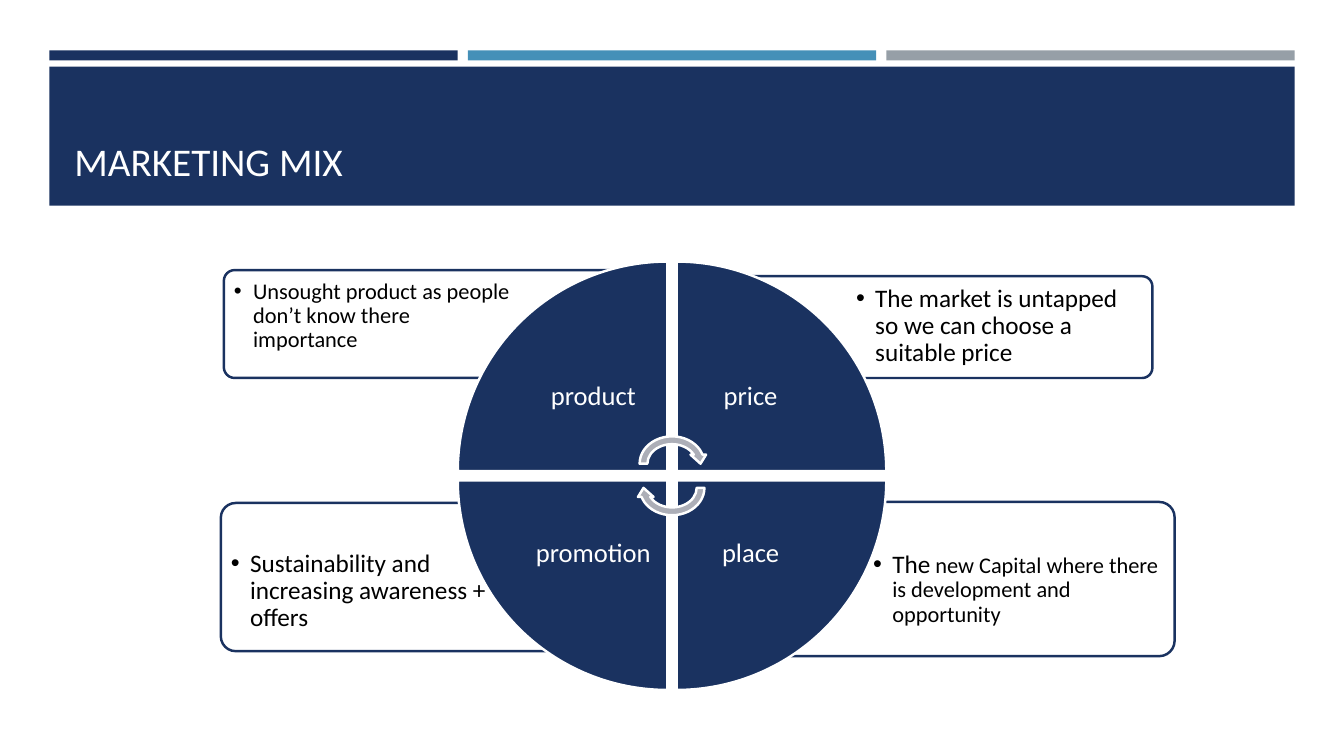
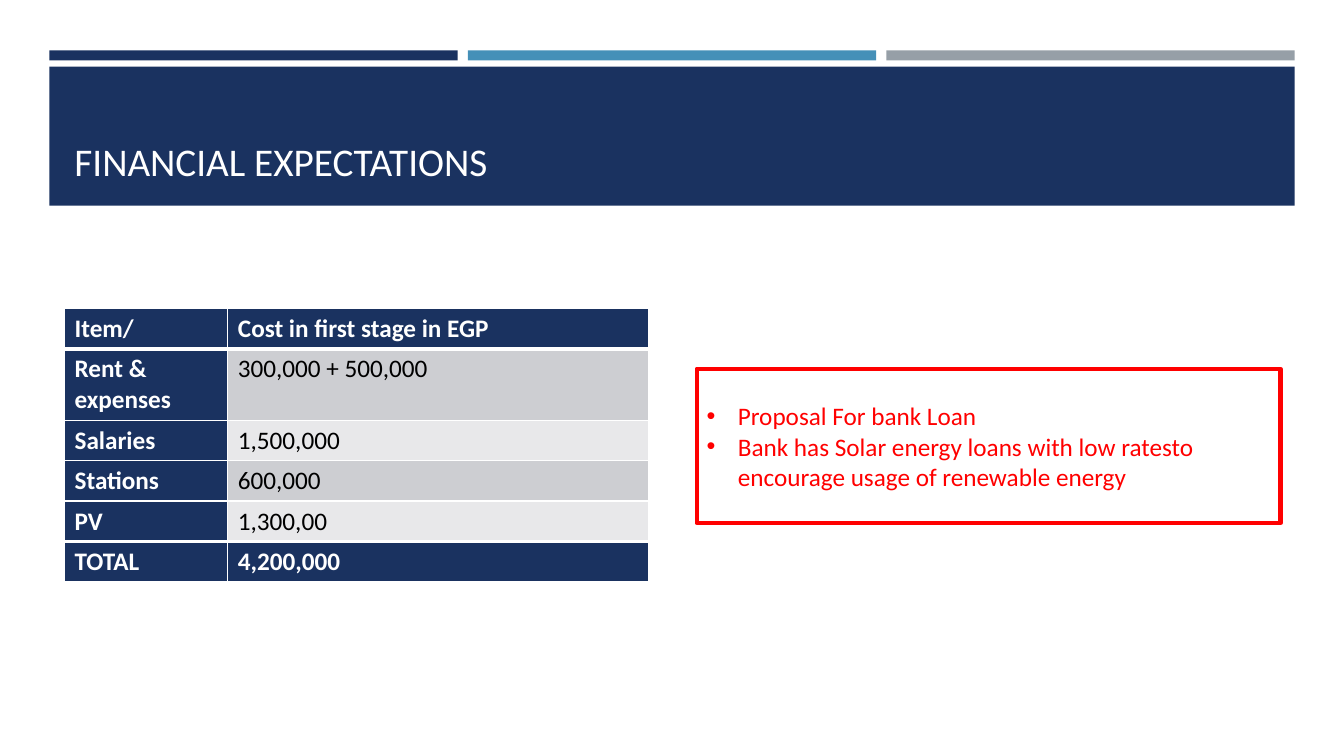
from lxml import etree
from pptx import Presentation
from pptx import util as u
from pptx.dml.color import RGBColor
from pptx.enum import shapes, text
from pptx.oxml.ns import qn

W, H = 13.33, 7.5
FONT = "Calibri"
COLORS = {
    "navy": "1A3260", "blue": "4590B8", "gray": "969FA7", "arrow": "ACAEB7",
    "white": "FFFFFF", "black": "000000", "red": "FF0000",
    "dark_row": "CDCED2", "light_row": "E8E8EA",
}
MARGIN, BAND_GAP = 0.49, 0.1
TITLE_BOX = (0.64, 0.8, 12.06, 1.08)

MIX_TITLE = "MARKETING MIX"
# name, column, row, rotation, card box, card text box, runs of (text, size)
MIX = [
    ("place", 1, 1, 180, (7.23, 4.98, 4.42, 1.53), (8.59, 5.4, 3.03, 1.08),
     [("The", 18), (" new Capital where there is development and opportunity", 16)]),
    ("promotion", 0, 1, 270, (2.19, 4.99, 4.05, 1.47), (2.22, 5.39, 2.77, 1.04),
     [("Sustainability and increasing awareness + offers", 18)]),
    ("price", 1, 0, 90, (7.1, 2.74, 4.33, 1.01), (8.42, 2.76, 2.99, 0.72),
     [("The market is untapped so we can choose a suitable price", 18)]),
    ("product", 0, 0, 0, (2.22, 2.68, 4.29, 1.07), (2.25, 2.71, 2.95, 0.75),
     [("Unsought product as people don’t know there importance", 16)]),
]
WHEEL_X, WHEEL_Y, WHEEL_GAP = W / 2, 4.72, 0.09
WEDGE, LABEL = 2.08, 1.47
ARROW_W, ARROW_H, ARROW_SHIFT = 0.72, 0.62, 0.12

COST_TITLE = "FINANCIAL EXPECTATIONS"
COSTS = [
    ("Item/", "Cost in first stage in EGP"),
    ("Rent & expenses", "300,000 + 500,000"),
    ("Salaries", "1,500,000"),
    ("Stations", "600,000"),
    ("PV", "1,300,00"),
    ("TOTAL", "4,200,000"),
]
COST_BOX = (0.64, 3.06, 5.79, 2.72)
COST_COLS = (1.62, 4.17)
ROW_H, TALL_ROW_H = 0.4, 0.71
LOAN_BOX = (6.91, 3.66, 5.79, 1.53)
LOAN = [
    "Proposal For bank Loan",
    "Bank has Solar energy loans with low ratesto encourage usage of renewable energy",
]


def rgb(name):
    return RGBColor.from_string(COLORS[name])


def inches(box):
    return [u.Inches(v) for v in box]


def set_text(tf, paragraphs, size=18, color="black", bold=False, align=None,
             anchor=None, inset=None, spacing=None, bullet=None):
    """Fill tf; a paragraph is a string or a list of (text, size); bullet is its indent."""
    tf.word_wrap = True
    if anchor is not None:
        tf.vertical_anchor = anchor
    if inset is not None:
        tf.margin_left = tf.margin_right = tf.margin_top = tf.margin_bottom = u.Inches(inset)
    for i, runs in enumerate(paragraphs):
        p = tf.add_paragraph() if i else tf.paragraphs[0]
        p.alignment = align or text.PP_ALIGN.LEFT
        if spacing:
            p.line_spacing = spacing
        if bullet:
            pPr = p._p.get_or_add_pPr()
            pPr.set("marL", str(u.Inches(bullet)))
            pPr.set("indent", str(-u.Inches(bullet)))
            etree.SubElement(pPr, qn("a:buFont")).set("typeface", "Arial")
            etree.SubElement(pPr, qn("a:buChar")).set("char", "•")
        for content, points in [(runs, size)] if isinstance(runs, str) else runs:
            r = p.add_run()
            r.text = content
            r.font.name, r.font.size, r.font.bold = FONT, u.Pt(points), bold
            r.font.color.rgb = rgb(color)


def add_text(slide, box, paragraphs, **fmt):
    set_text(slide.shapes.add_textbox(*inches(box)).text_frame, paragraphs, **fmt)


def add_shape(slide, kind, box, fill=None, line=None, width=1.75, rotation=0):
    sp = slide.shapes.add_shape(kind, *inches(box))
    sp.shadow.inherit = False
    sp.rotation = rotation
    if fill:
        sp.fill.solid()
        sp.fill.fore_color.rgb = rgb(fill)
    else:
        sp.fill.background()
    if line:
        sp.line.color.rgb = rgb(line)
        sp.line.width = u.Pt(width)
    else:
        sp.line.fill.background()
    return sp


def add_slide(prs, title):
    """Blank slide with the three stripes, the title band and the title."""
    slide = prs.slides.add_slide(prs.slide_layouts[6])
    rect = shapes.MSO_SHAPE.RECTANGLE
    full = W - 2 * MARGIN
    stripe = (full - 2 * BAND_GAP) / 3
    for i, color in enumerate(("navy", "blue", "gray")):
        left = MARGIN + i * (stripe + BAND_GAP)
        add_shape(slide, rect, (left, 0.5, stripe, 0.1), color)
    add_shape(slide, rect, (MARGIN, 0.66, full, 1.38), "navy")
    add_text(slide, TITLE_BOX, [title], size=28, color="white",
             anchor=text.MSO_ANCHOR.BOTTOM)
    return slide


def quadrant(col, row, size):
    """Square that touches the wheel's inner corner in one quadrant."""
    def start(center, index):
        return center + (WHEEL_GAP / 2 if index else -WHEEL_GAP / 2 - size)
    return start(WHEEL_X, col), start(WHEEL_Y, row), size, size


def build_mix(prs):
    slide = add_slide(prs, MIX_TITLE)
    kinds = shapes.MSO_SHAPE
    for _, _, _, _, card, box, runs in MIX:
        sp = add_shape(slide, kinds.ROUNDED_RECTANGLE, card, "white", "navy")
        sp.adjustments[0] = 0.1
        add_text(slide, box, [runs], inset=0.07, spacing=0.9, bullet=0.19)
    for name, col, row, rotation, *_ in MIX:
        add_shape(slide, kinds.PIE_WEDGE, quadrant(col, row, WEDGE), "navy", "white",
                  rotation=rotation)
        add_text(slide, quadrant(col, row, LABEL), [name], size=19, color="white",
                 align=text.PP_ALIGN.CENTER, anchor=text.MSO_ANCHOR.MIDDLE,
                 inset=0.15, spacing=0.9)
    for shift, rotation in ((-ARROW_SHIFT, 0), (ARROW_SHIFT, 180)):
        box = (WHEEL_X - ARROW_W / 2, WHEEL_Y + shift - ARROW_H / 2, ARROW_W, ARROW_H)
        add_shape(slide, kinds.CIRCULAR_ARROW, box, "arrow", "white", rotation=rotation)


def set_borders(cell, top, bottom):
    for side, width in (("L", 1), ("R", 1), ("T", top), ("B", bottom)):
        ln = etree.SubElement(cell._tc.get_or_add_tcPr(), qn(f"a:ln{side}"))
        ln.set("w", str(u.Pt(width)))
        fill = etree.SubElement(ln, qn("a:solidFill"))
        etree.SubElement(fill, qn("a:srgbClr")).set("val", COLORS["white"])


def build_costs(prs):
    slide = add_slide(prs, COST_TITLE)
    last = len(COSTS) - 1
    table = slide.shapes.add_table(len(COSTS), len(COST_COLS), *inches(COST_BOX)).table
    for column, width in zip(table.columns, COST_COLS):
        column.width = u.Inches(width)
    for i, values in enumerate(COSTS):
        table.rows[i].height = u.Inches(TALL_ROW_H if i == 1 else ROW_H)
        for j, value in enumerate(values):
            cell = table.cell(i, j)
            strong = j == 0 or i in (0, last)
            set_borders(cell, top=3 if i in (1, last) else 1,
                        bottom=3 if i in (0, last - 1) else 1)
            cell.fill.solid()
            cell.fill.fore_color.rgb = rgb(
                "navy" if strong else "dark_row" if i % 2 else "light_row")
            set_text(cell.text_frame, [value], bold=strong,
                     color="white" if strong else "black")
    sp = add_shape(slide, shapes.MSO_SHAPE.RECTANGLE, LOAN_BOX, line="red", width=3)
    set_text(sp.text_frame, LOAN, color="red", anchor=text.MSO_ANCHOR.MIDDLE, bullet=0.31)


def main():
    prs = Presentation()
    prs.slide_width, prs.slide_height = inches((W, H))
    build_mix(prs)
    build_costs(prs)
    prs.save("out.pptx")


if __name__ == "__main__":
    main()
